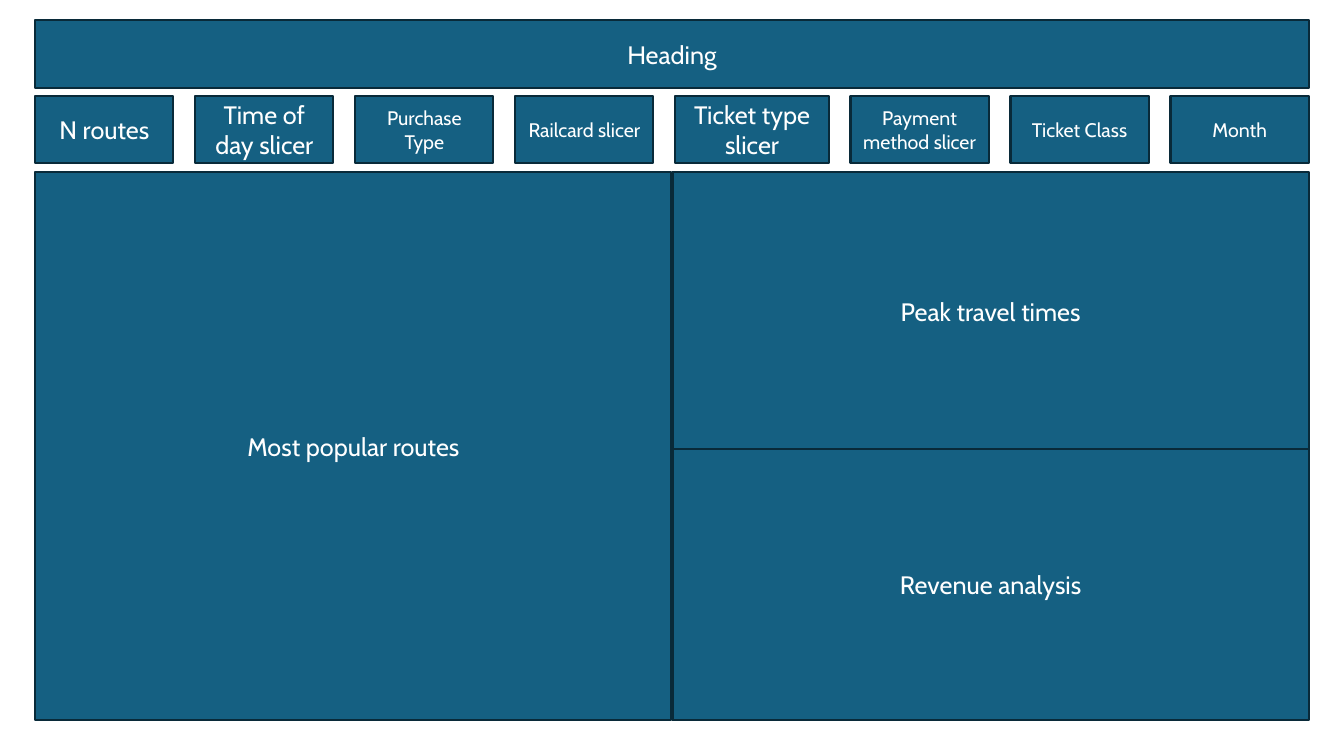
from pptx import Presentation
from pptx.dml.color import RGBColor
from pptx.enum.shapes import MSO_SHAPE
from pptx.enum.text import MSO_ANCHOR, MSO_AUTO_SIZE, PP_ALIGN
from pptx.util import Inches, Pt

BLUE = RGBColor(0x15, 0x60, 0x82)
NAVY = RGBColor(0x09, 0x2A, 0x39)
WHITE = RGBColor(0xFF, 0xFF, 0xFF)

LEFT, WIDTH = 0.35, 12.63
BAR = 0.67
HALF = 6.31
MID = LEFT + WIDTH - HALF

SLICERS = [
    ("N routes", 1.37, 18),
    ("Time of day slicer", 1.37, 18),
    ("Purchase Type", 1.37, 14),
    ("Railcard slicer", 1.37, 14),
    ("Ticket type slicer", 1.52, 18),
    ("Payment method slicer", 1.37, 14),
    ("Ticket Class", 1.37, 14),
    ("Month", 1.37, 14),
]

PANELS = [
    ("Most popular routes", LEFT, 1.71, 5.43),
    ("Peak travel times", MID, 1.71, 2.75),
    ("Revenue analysis", MID, 4.45, 2.69),
]


def write(frame, text, size=18, color=WHITE, font="Cabin"):
    frame.word_wrap = True
    frame.auto_size = MSO_AUTO_SIZE.NONE
    frame.vertical_anchor = MSO_ANCHOR.MIDDLE
    para = frame.paragraphs[0]
    para.alignment = PP_ALIGN.CENTER
    run = para.add_run()
    run.text = text
    run.font.size = Pt(size)
    run.font.name = font
    run.font.color.rgb = color


class Board:
    def __init__(self, slide, fill=BLUE, edge=NAVY):
        self.slide = slide
        self.fill = fill
        self.edge = edge

    def paint(self, shape):
        shape.fill.solid()
        shape.fill.fore_color.rgb = self.fill
        shape.line.color.rgb = self.edge
        shape.line.width = Pt(1.5)

    def title(self, text, *box):
        shape = self.slide.shapes.title
        shape.left, shape.top, shape.width, shape.height = map(Inches, box)
        self.paint(shape)
        write(shape.text_frame, text)

    def tile(self, text, *box, size=18):
        shape = self.slide.shapes.add_shape(MSO_SHAPE.RECTANGLE, *map(Inches, box))
        shape.shadow.inherit = False
        self.paint(shape)
        write(shape.text_frame, text, size=size)


def main():
    deck = Presentation()
    deck.slide_width, deck.slide_height = Inches(13.33), Inches(7.5)
    board = Board(deck.slides.add_slide(deck.slide_layouts[5]))

    board.title("Heading", LEFT, 0.2, WIDTH, BAR)

    for text, left, top, height in PANELS:
        board.tile(text, left, top, HALF, height)

    gap = (WIDTH - sum(width for _, width, _ in SLICERS)) / (len(SLICERS) - 1)
    left = LEFT
    for text, width, size in SLICERS:
        board.tile(text, left, 0.95, width, BAR, size=size)
        left += width + gap

    deck.save("out.pptx")


if __name__ == "__main__":
    main()
